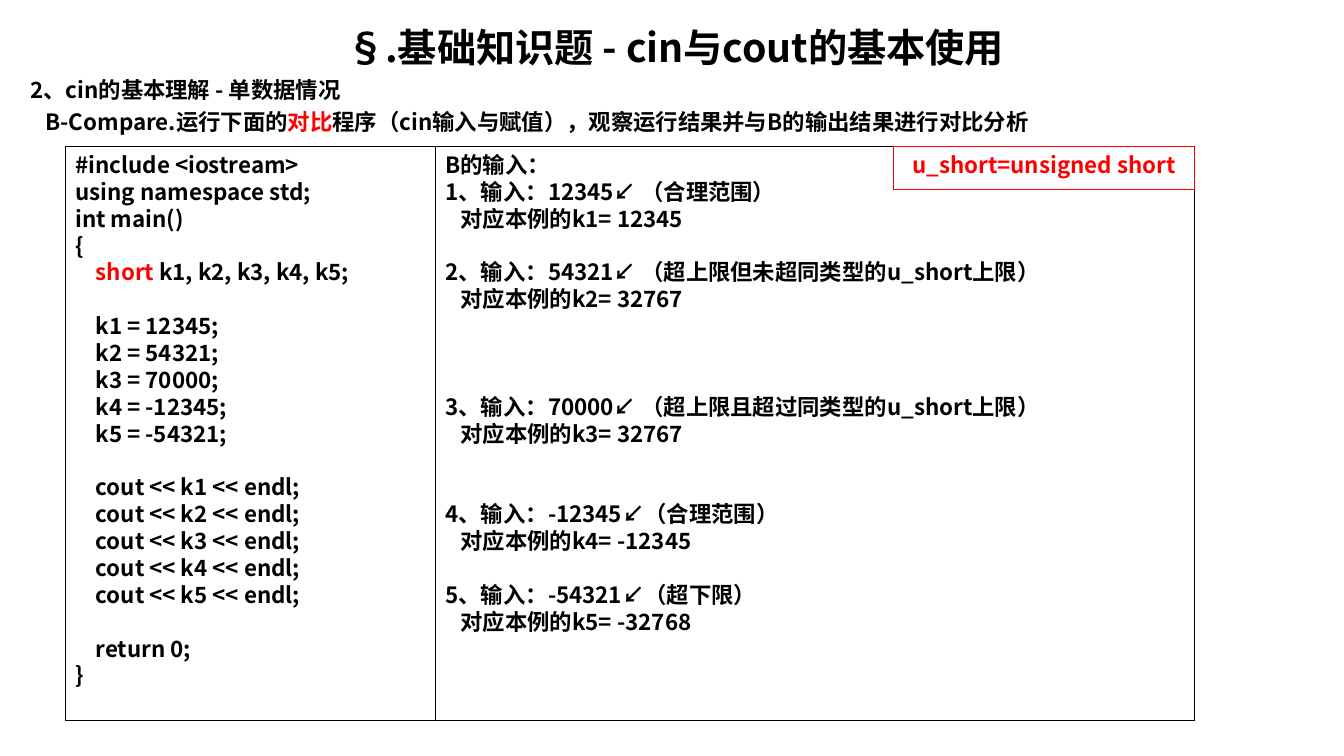
from lxml.etree import SubElement
from pptx import Presentation
from pptx.dml.color import RGBColor
from pptx.enum.shapes import MSO_SHAPE as Shape
from pptx.enum.text import MSO_ANCHOR as Anchor, MSO_AUTO_SIZE as Auto, PP_ALIGN as Align
from pptx.oxml.ns import qn
from pptx.util import Inches, Pt

BLACK = RGBColor(0, 0, 0)
RED = RGBColor(255, 0, 0)
FONT = "Noto Sans CJK SC"
SIZE = 16
LEAD = 1.2
STEP = SIZE * LEAD
INDENT = 0.15

TITLE = "§.基础知识题 - cin与cout的基本使用"
TOPIC = "2、cin的基本理解 - 单数据情况"
TASK = "B-Compare.运行下面的对比程序（cin输入与赋值），观察运行结果并与B的输出结果进行对比分析"
CODE = """#include <iostream>
using namespace std;
int main()
{
    short k1, k2, k3, k4, k5;

    k1 = 12345;
    k2 = 54321;
    k3 = 70000;
    k4 = -12345;
    k5 = -54321;

    cout << k1 << endl;
    cout << k2 << endl;
    cout << k3 << endl;
    cout << k4 << endl;
    cout << k5 << endl;

    return 0;
}"""
CASES = [
    ("12345↙ （合理范围）", "12345", 0),
    ("54321↙ （超上限但未超同类型的u_short上限）", "32767", 1),
    ("70000↙ （超上限且超过同类型的u_short上限）", "32767", 3),
    ("-12345↙（合理范围）", "-12345", 2),
    ("-54321↙（超下限）", "-32768", 1),
]


def style(run, size, color):
    font = run.font
    font.size, font.bold, font.name = Pt(size), True, FONT
    font.color.rgb = color
    SubElement(run.font._element, qn("a:ea"), typeface=FONT)


def write(frame, lines, size=SIZE, color=BLACK, hot=None, align=Align.LEFT):
    frame.word_wrap = True
    frame.auto_size = Auto.NONE
    frame.vertical_anchor = Anchor.TOP
    for row, (text, gap, indent) in enumerate(lines):
        para = frame.add_paragraph() if row else frame.paragraphs[0]
        props = para._p.get_or_add_pPr()
        props.set("marL", str(Inches(indent)))
        props.set("indent", "0")
        SubElement(props, qn("a:buNone"))
        para.alignment = align
        para.line_spacing = Pt(size * LEAD)
        para.space_before = Pt(gap)
        para.space_after = Pt(0)
        parts = text.partition(hot) if hot else (text,)
        for part in filter(None, parts):
            run = para.add_run()
            run.text = part
            style(run, size, RED if part == hot else color)


def place(shape, box):
    shape.left, shape.top, shape.width, shape.height = map(Inches, box)


def panel(slide, box, color=BLACK):
    shape = slide.shapes.add_shape(Shape.RECTANGLE, *map(Inches, box))
    shape.shadow.inherit = False
    shape.fill.background()
    shape.line.color.rgb = color
    shape.line.width = Pt(0.75)
    return shape.text_frame


def header(slide, box):
    left, top, width, height = box
    title, body = slide.placeholders
    place(title, (left, top, width, height * 0.5))
    write(title.text_frame, [(TITLE, 0, 0)], 28, align=Align.CENTER)
    place(body, (left, top + height * 0.42, width, height * 0.58))
    write(body.text_frame, [(TOPIC, 0, 0), (TASK, 3.6, INDENT)], hot="对比")


def code(slide, box):
    lines, gap = [], 0
    for text in CODE.split("\n"):
        if text:
            lines.append((text, gap, 0))
        gap = 0 if text else STEP
    write(panel(slide, box), lines, hot="short")


def cases(slide, box):
    lines = [("B的输入：", 0, 0)]
    for num, (given, value, skip) in enumerate(CASES, 1):
        lines.append((f"{num}、输入：{given}", skip * STEP, 0))
        lines.append((f"对应本例的k{num}= {value}", 0, INDENT))
    write(panel(slide, box), lines)


def tag(slide, box):
    text = [("u_short=unsigned short", 0, 0)]
    write(panel(slide, box, RED), text, color=RED, align=Align.CENTER)


def board(slide, box):
    left, top, width, height = box
    split, note = 3.67, 2.99
    panel(slide, box)
    code(slide, (left, top, split, height))
    cases(slide, (left + split, top, width - split, height))
    tag(slide, (left + width - note, top, note, 0.43))


def main():
    deck = Presentation()
    deck.slide_width, deck.slide_height = Inches(13.33), Inches(7.5)
    slide = deck.slides.add_slide(deck.slide_layouts[1])
    header(slide, (0.2, 0.18, 12.99, 1.25))
    board(slide, (0.65, 1.45, 11.2, 5.7))
    deck.save("out.pptx")


if __name__ == "__main__":
    main()
